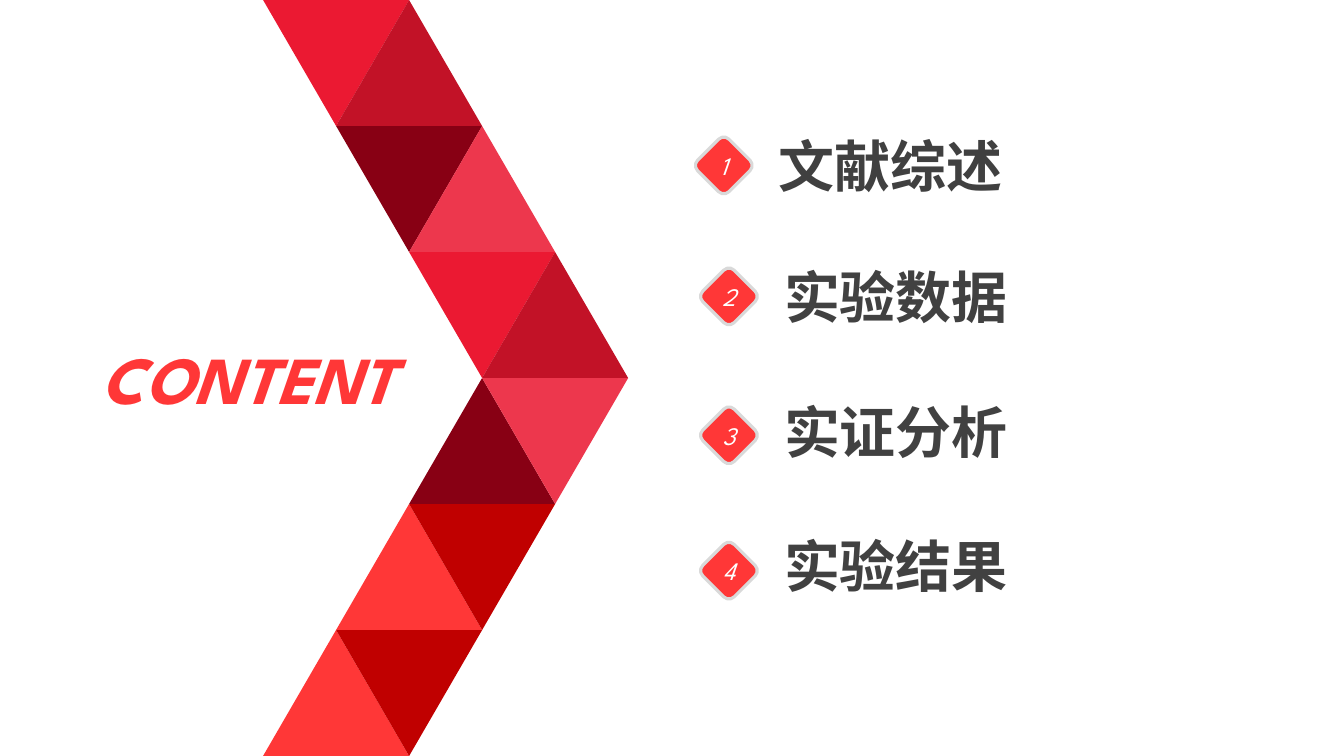
from pptx import Presentation
from pptx.dml.color import RGBColor
from pptx.enum.shapes import MSO_SHAPE
from pptx.enum.text import MSO_AUTO_SIZE, PP_ALIGN
from pptx.oxml.ns import qn
from pptx.util import Cm, Pt
from lxml.etree import SubElement

LATIN = "League Spartan"
CHINESE = "Noto Sans CJK SC"
RED = "FF3737"

# Chevron: (left colour, right colour) of each row, top to bottom
CHEVRON_ROWS = [
    ("EB1932", "C21227"),
    ("880014", "ED374D"),
    ("EB1932", "C21227"),
    ("880014", "ED374D"),
    (RED, "C00000"),
    (RED, "C00000"),
]
ROW_HEIGHT = 19.05 / len(CHEVRON_ROWS)
HALF_WIDTH = 1.84
CHEVRON_LEFT = 6.63

# Entries: title, font, colour, badge left, badge top, title top (cm)
ENTRIES = [
    ("文献综述", LATIN, "404040", 17.68, 3.61, 3.18),
    ("实验数据", CHINESE, "414141", 17.81, 6.91, 6.48),
    ("实证分析", CHINESE, "414141", 17.81, 10.41, 9.88),
    ("实验结果", CHINESE, "414141", 17.81, 13.82, 13.26),
]


def colour(value):
    return RGBColor.from_string(value)


def add_filled(shapes, kind, area, fill, rotation=0):
    """Add a flat preset shape without outline."""
    shape = shapes.add_shape(kind, *map(Cm, area))
    shape.shadow.inherit = False
    shape.fill.solid()
    shape.fill.fore_color.rgb = colour(fill)
    shape.line.fill.background()
    shape.rotation = rotation
    return shape


def add_text(shapes, area, text, fill, format_values, align=PP_ALIGN.LEFT, wrap=True):
    """Add a one-line text box; format_values go to its font."""
    box = shapes.add_textbox(*map(Cm, area))
    frame = box.text_frame
    frame.word_wrap = wrap
    frame.auto_size = MSO_AUTO_SIZE.SHAPE_TO_FIT_TEXT
    para = frame.paragraphs[0]
    para.alignment = align
    span = para.add_run()
    span.text = text
    for name, value in format_values.items():
        setattr(span.font, name, value)
    span.font.color.rgb = colour(fill)
    # East Asian typeface
    SubElement(span.font._element, qn("a:ea")).set("typeface", CHINESE)


def add_chevron(page):
    """Stack pairs of triangles that point to the right."""
    shapes = page.shapes.add_group_shape().shapes
    count = len(CHEVRON_ROWS)
    for row, pair in enumerate(CHEVRON_ROWS):
        indent = min(row, count - 1 - row)
        upper = row < count // 2
        for side, fill in enumerate(pair):
            left = CHEVRON_LEFT + (indent + side) * HALF_WIDTH
            area = (left, row * ROW_HEIGHT, 2 * HALF_WIDTH, ROW_HEIGHT)
            points_down = upper == (side == 0)
            add_filled(shapes, MSO_SHAPE.ISOSCELES_TRIANGLE, area, fill,
                       180 if points_down else 0)


def add_entry(page, number, title, font, fill, left, top, title_top):
    """Add a title with its numbered diamond badge."""
    shapes = page.shapes.add_group_shape().shapes
    add_text(shapes, (left + 1.7, title_top, 10.6, 1.96), title, fill,
             {"name": font, "size": Pt(40), "bold": True})
    badge = add_filled(shapes, MSO_SHAPE.ROUNDED_RECTANGLE,
                       (left, top, 1.12, 1.12), RED, 45)
    badge.line.color.rgb = colour("D9D9D9")
    badge.line.width = Pt(2.25)
    add_text(shapes, (left + 0.13, top + 0.05, 0.86, 1.02), str(number), "FFFFFF",
             {"name": LATIN, "size": Pt(18), "italic": True},
             PP_ALIGN.CENTER, wrap=False)


def main():
    deck = Presentation()
    deck.slide_width, deck.slide_height = Cm(33.87), Cm(19.05)
    page = deck.slides.add_slide(deck.slide_layouts[6])

    add_chevron(page)

    # Heading
    add_text(page.shapes, (2.29, 8.38, 10.46, 2.31), "CONTENT", RED,
             {"name": LATIN, "size": Pt(48), "bold": True, "italic": True})

    # Numbered list
    for number, entry in enumerate(ENTRIES, start=1):
        add_entry(page, number, *entry)

    deck.save("out.pptx")


if __name__ == "__main__":
    main()
